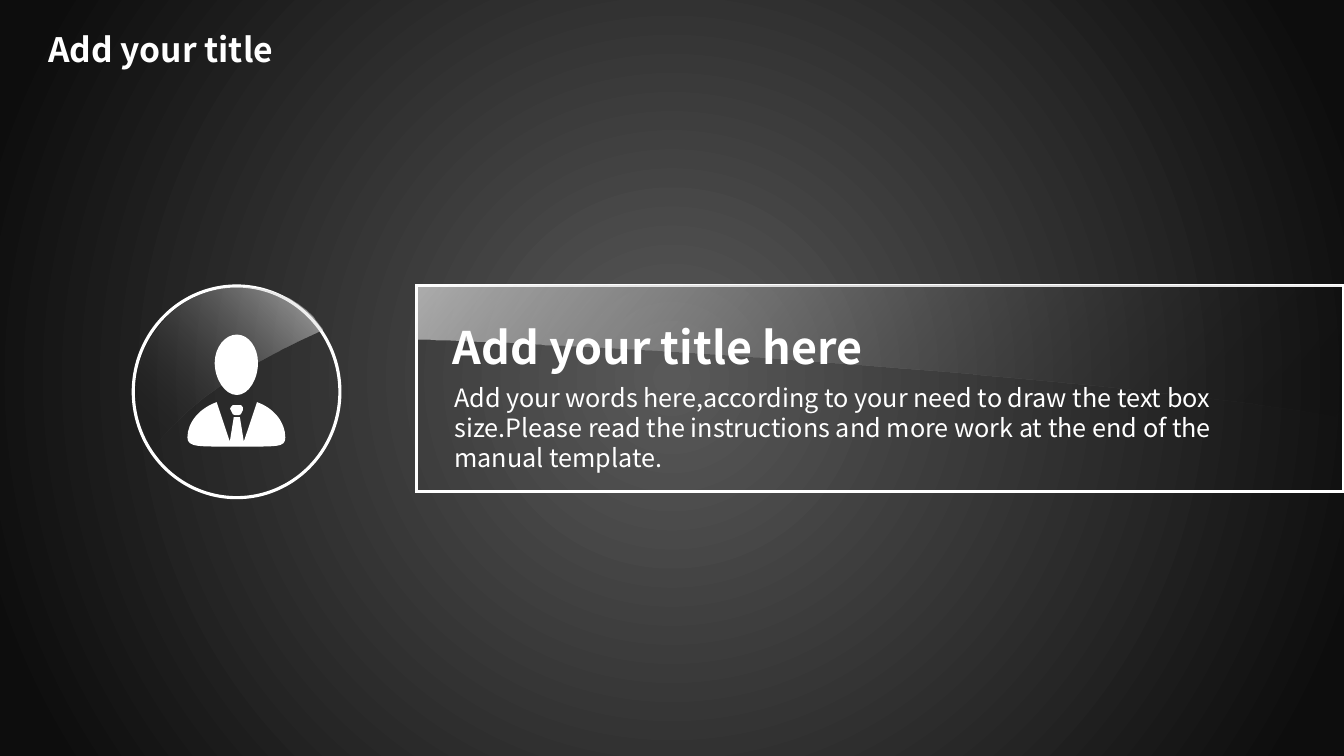
from lxml.etree import SubElement, fromstring as parse_xml
from pptx import Presentation
from pptx.dml.color import RGBColor as RGB
from pptx.enum.shapes import MSO_SHAPE as Kind
from pptx.enum.text import MSO_ANCHOR as Anchor, MSO_AUTO_SIZE as Auto, PP_ALIGN as Align
from pptx.util import Pt

HUES = {"white": "FFFFFF", "black": "000000", "gray": "595959", "dark": "0D0D0D"}
FONT = "Noto Sans CJK SC"
NS = "http://schemas.openxmlformats.org/drawingml/2006/main"


def shade(fill, root, stops, tail):
    fill.gradient()
    marks = "".join(
        f'<a:gs pos="{pos * 1000}"><a:srgbClr val="{HUES[hue]}">'
        f'<a:alpha val="{alpha * 1000}"/></a:srgbClr></a:gs>'
        for pos, hue, alpha in stops)
    node = parse_xml(f'<a:gradFill xmlns:a="{NS}" rotWithShape="1">'
                     f"<a:gsLst>{marks}</a:gsLst>{tail}</a:gradFill>")
    old = root.xpath(".//a:gradFill")[0]
    old.getparent().replace(old, node)


def trace(group, loops):
    pen = group.shapes.build_freeform(*map(Pt, loops[0][0]))
    for index, (start, *parts) in enumerate(loops):
        if index:
            pen.move_to(*map(Pt, start))
        pen.add_line_segments([tuple(map(Pt, part[-2:])) for part in parts], close=True)
    form = pen.convert_to_shape()
    form.shadow.inherit = False
    form.line.fill.background()
    parts = [part for loop in loops for part in loop[1:]]
    for line, part in zip(form._element.xpath(".//a:lnTo"), parts):
        if len(part) == 6:
            curve = SubElement(line.getparent(), f"{{{NS}}}cubicBezTo")
            for x, y in zip(part[::2], part[1::2]):
                SubElement(curve, f"{{{NS}}}pt", x=str(Pt(x) - form.left), y=str(Pt(y) - form.top))
            line.getparent().replace(line, curve)
    return form


deck = Presentation()
deck.slide_width, deck.slide_height = Pt(960), Pt(540)
slide = deck.slides.add_slide(deck.slide_layouts[5])
shade(slide.background.fill, slide.element, [(0, "gray", 100), (94, "dark", 100)],
      '<a:path path="circle"><a:fillToRect l="50000" t="50000" r="50000" b="50000"/></a:path>')

GLOSS = [[
    (171.4, 204.5), (191.5, 204.5, 210.2, 212.4, 223.2, 226.1), (230.4, 235.4),
    (211.7, 244.1), (169.9, 264.2, 138.2, 285.1, 114.5, 313.2), (108.7, 319.7),
    (106.6, 316.1), (100.8, 305.3, 97.2, 293, 97.2, 280.1),
    (97.2, 238.3, 130.3, 204.5, 171.4, 204.5)]]
SHEEN = [[
    (297.4, 204.2), (958.3, 204.2), (958.3, 298.8), (953.3, 297.4),
    (904.3, 287.3, 755.3, 270.7, 578.2, 257.8),
    (468.7, 249.8, 369.4, 244.8, 297.4, 242.6)]]
BODY = [
    (203.8, 312.5), (203.8, 301.7, 195.8, 291.6, 183.6, 287.3), (174.2, 315.4),
    (171.4, 298.1), (167, 298.1), (164.2, 315.4), (154.8, 287.3),
    (142.6, 291.6, 133.9, 301.7, 133.9, 312.5),
    (133.9, 319.7, 141.8, 319, 169.2, 319), (198.7, 319, 203.8, 319.7, 203.8, 312.5)]
KNOT = [
    (170.6, 289.4), (167, 289.4), (167, 289.4, 166.3, 289.4, 166.3, 289.4), (164.9, 290.9),
    (164.2, 291.6, 164.2, 292.3, 164.9, 293), (166.3, 295.9),
    (167, 295.9, 167, 296.6, 167.8, 296.6), (170.6, 296.6),
    (171.4, 296.6, 171.4, 295.9, 172.1, 295.9), (173.5, 293),
    (173.5, 292.3, 173.5, 291.6, 173.5, 290.9), (172.1, 289.4),
    (171.4, 289.4, 171.4, 289.4, 170.6, 289.4)]
HEAD = [
    (169.2, 282.2), (177.8, 282.2, 184.3, 270.7, 184.3, 259.2),
    (184.3, 248.4, 177.8, 239, 169.2, 239), (160.6, 239, 153.4, 248.4, 153.4, 259.2),
    (153.4, 270.7, 160.6, 282.2, 169.2, 282.2)]

groups = []
for kind, box, shine, angle in [
    (Kind.OVAL, (95.2, 204.3, 147.6, 151.2), GLOSS, 315),
    (Kind.RECTANGLE, (297.4, 204.1, 662.6, 147.3), SHEEN, 220),
]:
    group = slide.shapes.add_group_shape()
    groups.append(group)
    frame = group.shapes.add_shape(kind, *map(Pt, box))
    frame.shadow.inherit = False
    frame.fill.background()
    frame.line.color.rgb = RGB.from_string(HUES["white"])
    frame.line.width = Pt(2.25)
    SubElement(frame._element.xpath(".//a:ln")[0], f"{{{NS}}}miter", lim="800000")
    glass = trace(group, shine)
    shade(glass.fill, glass._element, [(0, "black", 0), (100, "white", 58)],
          f'<a:lin ang="{angle * 60000}" scaled="0"/>')

man = trace(groups[0], [BODY, KNOT, HEAD])
man.fill.solid()
man.fill.fore_color.rgb = RGB.from_string(HUES["white"])

title = slide.shapes.title
title.left, title.top, title.width, title.height = map(Pt, (27.4, 17.3, 220.3, 36))
head = slide.shapes.add_textbox(*map(Pt, (316.1, 225, 366.5, 45.6)))
note = slide.shapes.add_textbox(*map(Pt, (317.5, 269.2, 618.5, 72.7)))
LAYOUT = {"word_wrap": True, "auto_size": Auto.SHAPE_TO_FIT_TEXT, "vertical_anchor": Anchor.TOP}
for shape, text, size, bold in [
    (title, "Add your title", 24, True),
    (head, "Add your title here", 32, True),
    (note, "Add your words here,according to your need to draw the text box size."
           "Please read the instructions and more work at the end of the manual template.",
     18, False),
]:
    frame = shape.text_frame
    frame.text = text
    para = frame.paragraphs[0]
    font = para.runs[0].font
    for item, values in [
        (frame, LAYOUT),
        (para, {"alignment": Align.LEFT, "line_spacing": Pt(round(size * 1.2, 1))}),
        (font, {"name": FONT, "size": Pt(size), "bold": bold}),
    ]:
        for key, value in values.items():
            setattr(item, key, value)
    font.color.rgb = RGB.from_string(HUES["white"])

deck.save("out.pptx")
